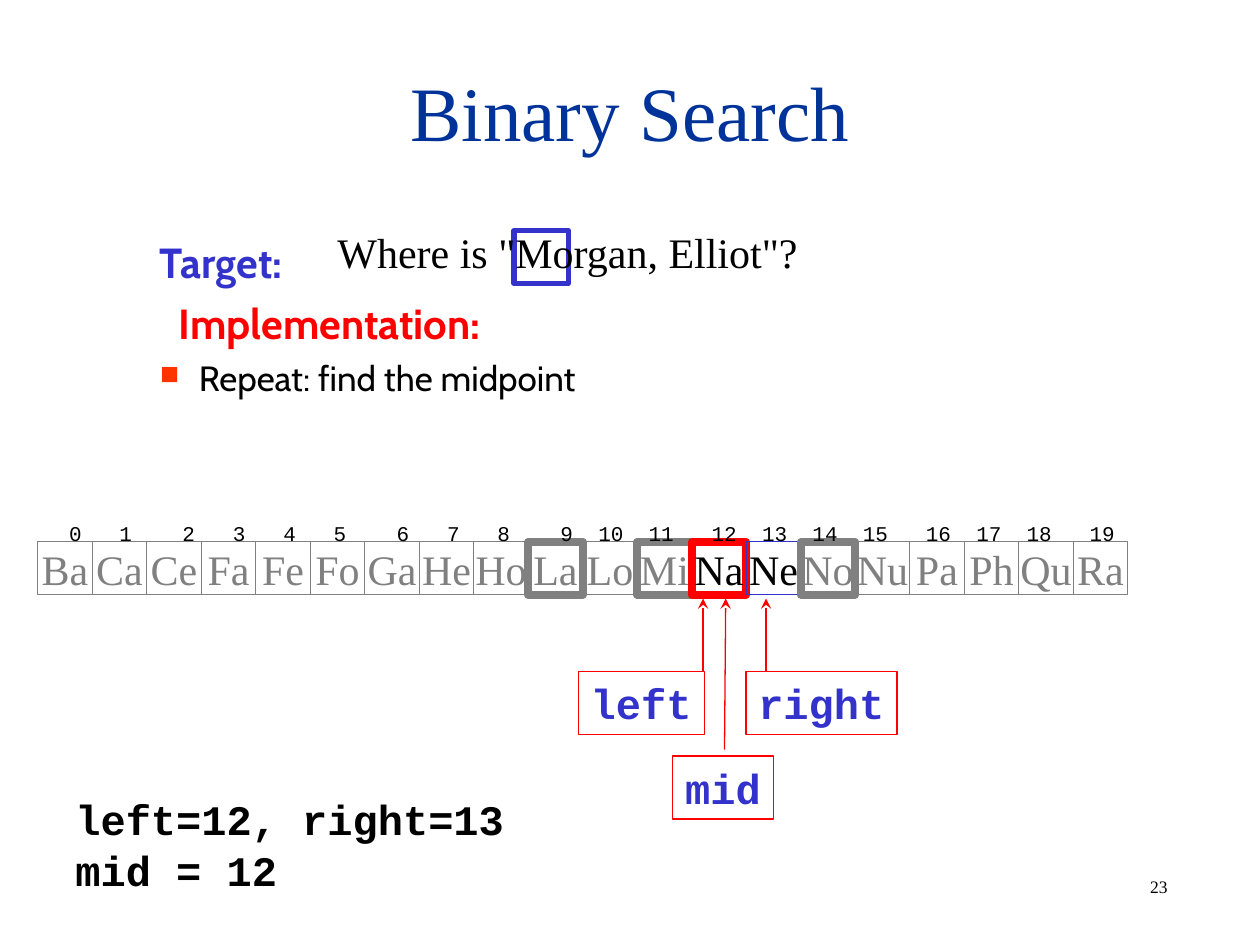
import dataclasses
from typing import Any

import pptx
import pptx.dml.color
import pptx.enum.shapes
import pptx.enum.text
import pptx.oxml.ns
import pptx.util
from pptx.util import Inches

ALIGN = pptx.enum.text.PP_ALIGN
ANCHOR = pptx.enum.text.MSO_ANCHOR
FIT = pptx.enum.text.MSO_AUTO_SIZE


@dataclasses.dataclass(frozen=True)
class Theme:
    serif: str = "Times New Roman"
    sans: str = "Cabin"
    mono: str = "Courier New"
    black: str = "000000"
    gray: str = "808080"
    red: str = "FF0000"
    blue: str = "3333CC"
    title_blue: str = "003399"
    bullet_orange: str = "FF3300"
    title_size: float = 44
    large: float = 24
    medium: float = 20
    index_size: float = 12
    page_size: float = 10
    thin: float = 0.75
    frame: float = 3
    thick: float = 4.5


THEME = Theme()


@dataclasses.dataclass(frozen=True)
class Line:
    """One paragraph with its font and paragraph format."""
    text: str
    font: str
    size: float
    color: str = THEME.black
    bold: bool = False
    align: Any = ALIGN.LEFT
    before: float = 0


@dataclasses.dataclass(frozen=True)
class Box:
    left: float
    top: float
    width: float
    height: float

    def lengths(self) -> tuple:
        return tuple(Inches(v) for v in dataclasses.astuple(self))


@dataclasses.dataclass(frozen=True)
class Arrow:
    start: tuple[float, float]
    end: tuple[float, float]


@dataclasses.dataclass(frozen=True)
class Pointer:
    name: str
    box: Box
    arrow: Arrow


def rgb(color: str) -> pptx.dml.color.RGBColor:
    return pptx.dml.color.RGBColor.from_string(color)


def set_attributes(target: Any, values: dict[str, Any]) -> None:
    for name, value in values.items():
        setattr(target, name, value)


def write(shape: Any, lines: list[Line], **frame_format: Any) -> Any:
    frame = shape.text_frame
    set_attributes(frame, {"word_wrap": False, "auto_size": FIT.NONE,
                           "vertical_anchor": ANCHOR.TOP, **frame_format})
    for number, line in enumerate(lines):
        paragraph = frame.add_paragraph() if number else frame.paragraphs[0]
        set_attributes(paragraph, {"alignment": line.align,
                                   "space_before": pptx.util.Pt(line.before)})
        run = paragraph.add_run()
        run.text = line.text
        set_attributes(run.font, {"name": line.font, "bold": line.bold,
                                  "size": pptx.util.Pt(line.size)})
        run.font.color.rgb = rgb(line.color)
    return frame


def add_text(slide: Any, box: Box, lines: list[Line], **frame_format: Any) -> Any:
    return write(slide.shapes.add_textbox(*box.lengths()), lines, **frame_format)


def add_outline(slide: Any, box: Box, color: str, width: float) -> Any:
    outline = slide.shapes.add_shape(
        pptx.enum.shapes.MSO_SHAPE.RECTANGLE, *box.lengths())
    outline.shadow.inherit = False
    outline.fill.background()
    outline.line.color.rgb = rgb(color)
    outline.line.width = pptx.util.Pt(width)
    return outline


def add_child(parent: Any, tag: str, **attributes: str) -> Any:
    child = parent.makeelement(pptx.oxml.ns.qn(tag), attributes)
    parent.append(child)
    return child


def add_arrow(slide: Any, arrow: Arrow) -> None:
    connector = slide.shapes.add_connector(
        pptx.enum.shapes.MSO_CONNECTOR.STRAIGHT,
        *(Inches(v) for v in arrow.start + arrow.end))
    connector.line.color.rgb = rgb(THEME.red)
    connector.line.width = pptx.util.Pt(THEME.thin)
    add_child(connector.line._get_or_add_ln(), "a:tailEnd", type="stealth")
    add_child(connector._element.spPr, "a:effectLst")


def indent(paragraph: Any, margin: float, first: float) -> Any:
    properties = paragraph._p.get_or_add_pPr()
    properties.set("marL", str(Inches(margin)))
    properties.set("indent", str(Inches(first)))
    return properties


def add_outline_text(slide: Any) -> None:
    frame = add_text(slide, Box(0.67, 1.83, 8.75, 4.5), [
        Line("Target:", THEME.sans, THEME.large, THEME.blue, True, before=6),
        Line("Implementation:", THEME.sans, THEME.large, THEME.red, True, before=6),
        Line("Repeat: find the midpoint", THEME.sans, THEME.medium, before=5),
    ], word_wrap=True)
    target, implementation, step = frame.paragraphs
    indent(target, 0.5, 0)
    indent(implementation, 0.65, 0)
    bullet = indent(step, 0.81, -0.31)
    add_child(add_child(bullet, "a:buClr"), "a:srgbClr", val=THEME.bullet_orange)
    add_child(bullet, "a:buSzPct", val="75000")
    add_child(bullet, "a:buChar", char="■")


def add_names(slide: Any) -> None:
    names = "Ba Ca Ce Fa Fe Fo Ga He Ho La Lo Mi Na Ne No Nu Pa Ph Qu Ra".split()
    left, pitch = 0.3, 8.65 / len(names)
    borders = {"Na": (THEME.red, THEME.thick), "Ne": (THEME.blue, THEME.thin)}
    borders |= dict.fromkeys(("La", "Mi", "No"), (THEME.gray, THEME.thick))
    for index, name in enumerate(names):
        cell = add_outline(slide, Box(left + index * pitch, 4.3, pitch, 0.42),
                           *borders.get(name, (THEME.gray, THEME.thin)))
        color = THEME.black if name in ("Na", "Ne") else THEME.gray
        write(cell, [Line(name, THEME.serif, THEME.large, color, align=ALIGN.CENTER)],
              vertical_anchor=ANCHOR.MIDDLE)


def add_indices(slide: Any) -> None:
    """Write the index row with tab stops counted in 0.1 inch characters."""
    columns = (4, 9, 13, 17, 21, 26, 30, 34, 39, 42,
               46, 51, 55, 59, 63, 68, 72, 76, 81)
    row = "\t".join(str(index) for index in range(len(columns) + 1))
    frame = add_text(slide, Box(0.45, 4.08, 8.6, 0.3),
                     [Line(row, THEME.mono, THEME.index_size)], word_wrap=True)
    stops = add_child(frame.paragraphs[0]._p.get_or_add_pPr(), "a:tabLst")
    for column in columns:
        add_child(stops, "a:tab", pos=str(Inches(column / 10)), algn="l")


def add_pointer(slide: Any, pointer: Pointer) -> None:
    label = add_outline(slide, pointer.box, THEME.red, THEME.thin)
    write(label, [Line(pointer.name, THEME.mono, THEME.large, THEME.blue, True)],
          auto_size=FIT.SHAPE_TO_FIT_TEXT)
    add_arrow(slide, pointer.arrow)


def main() -> None:
    deck = pptx.Presentation()
    set_attributes(deck, {"slide_width": Inches(10), "slide_height": Inches(7.5)})
    slide = deck.slides.add_slide(deck.slide_layouts[6])

    add_text(slide, Box(9.03, 6.9, 0.78, 0.27),
             [Line("23", THEME.serif, THEME.page_size)], word_wrap=True)
    add_text(slide, Box(0.75, 0.25, 8.5, 1.25),
             [Line("Binary Search", THEME.serif, THEME.title_size,
                   THEME.title_blue, align=ALIGN.CENTER)],
             word_wrap=True, vertical_anchor=ANCHOR.MIDDLE)
    add_outline_text(slide)
    add_outline(slide, Box(4.08, 1.83, 0.43, 0.42), THEME.blue, THEME.frame)
    add_text(slide, Box(2.58, 1.75, 3.94, 0.5),
             [Line('Where is "Morgan, Elliot"?', THEME.serif, THEME.large)],
             word_wrap=True)
    add_names(slide)
    for pointer in (
        Pointer("left", Box(4.59, 5.33, 1, 0.5), Arrow((5.58, 5.33), (5.58, 4.75))),
        Pointer("right", Box(5.92, 5.33, 1.2, 0.5), Arrow((6.08, 5.33), (6.08, 4.75))),
        Pointer("mid", Box(5.34, 6, 0.8, 0.5), Arrow((5.75, 5.95), (5.76, 4.75))),
    ):
        add_pointer(slide, pointer)
    add_indices(slide)
    add_text(slide, Box(0.5, 6.25, 3.6, 0.9),
             [Line(text, THEME.mono, THEME.large, bold=True)
              for text in ("left=12, right=13", "mid = 12")])
    deck.save("out.pptx")


if __name__ == "__main__":
    main()
